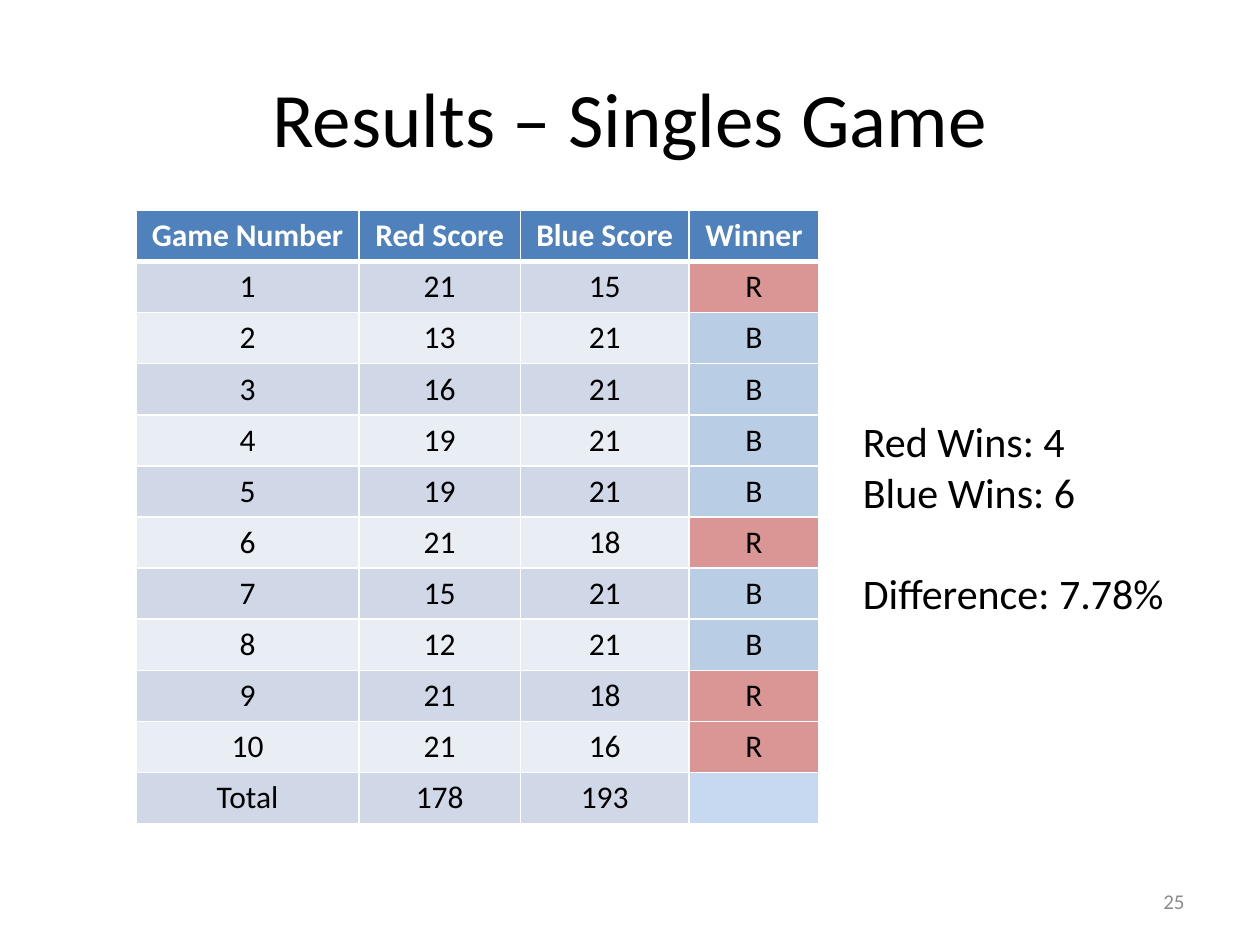
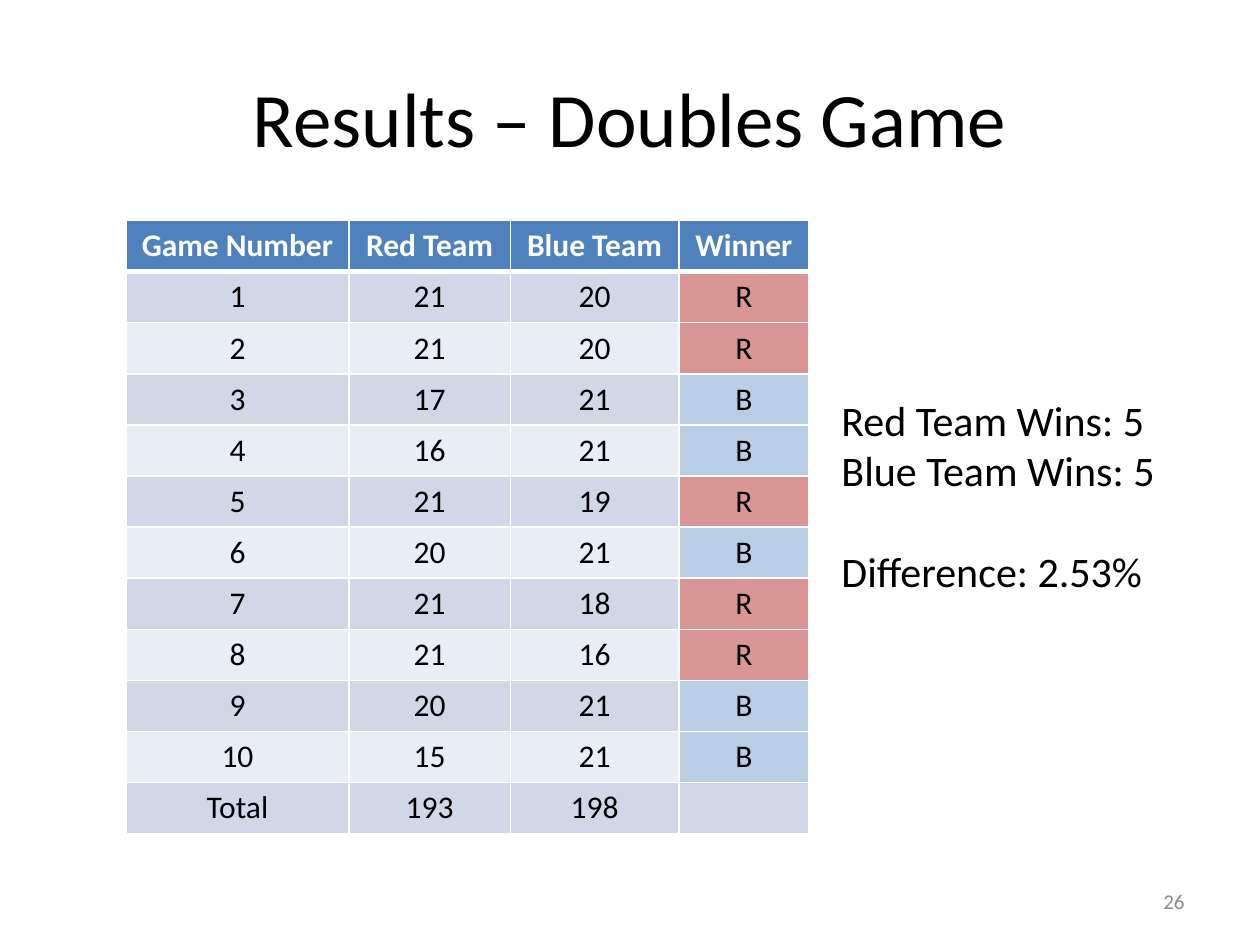
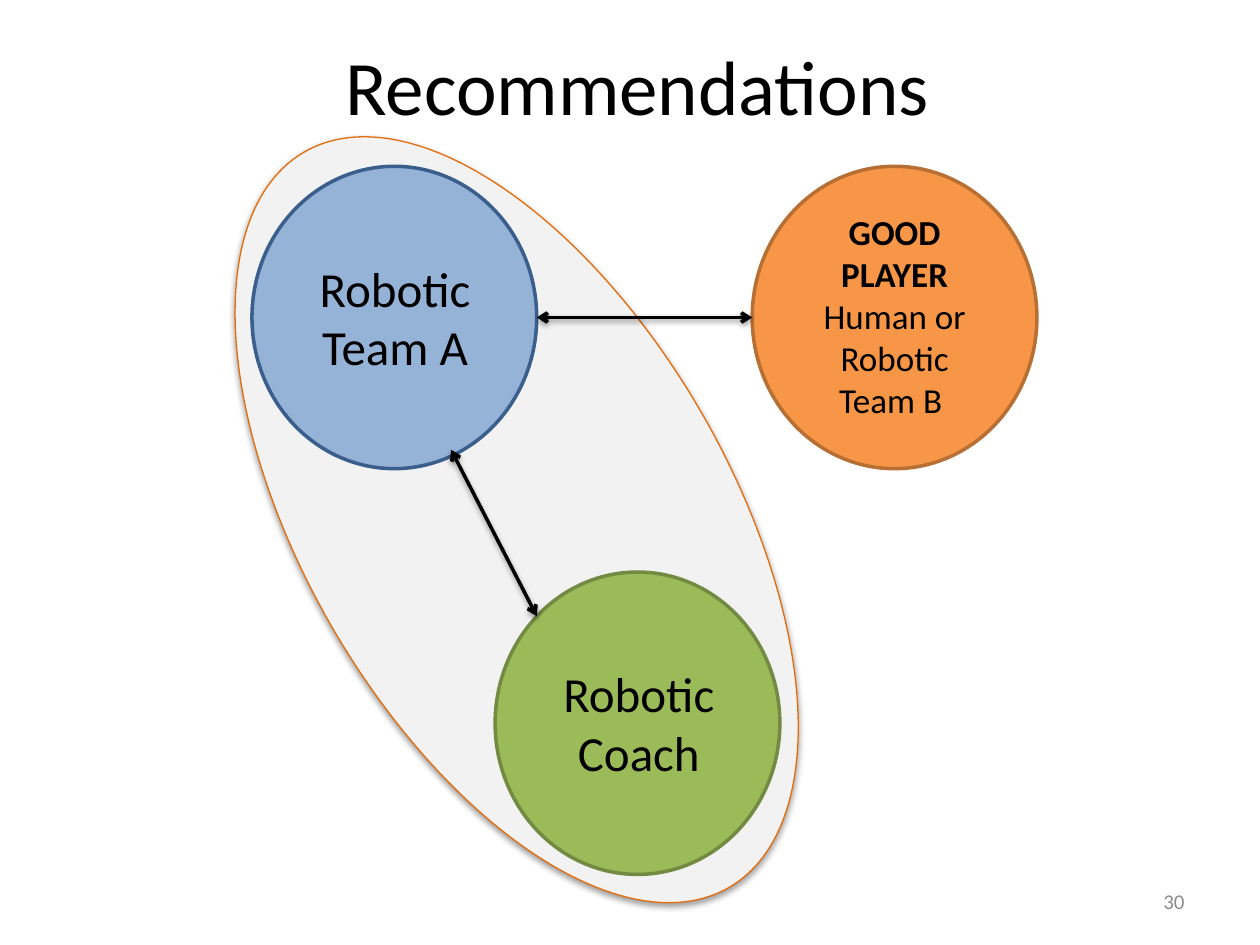
from lxml import etree
from pptx import Presentation
from pptx.dml.color import RGBColor
from pptx.enum.shapes import MSO_CONNECTOR, MSO_SHAPE
from pptx.enum.text import MSO_ANCHOR, PP_ALIGN
from pptx.oxml import parse_xml
from pptx.oxml.ns import nsdecls, qn
from pptx.util import Inches, Pt

LEFT, CENTER, RIGHT = PP_ALIGN.LEFT, PP_ALIGN.CENTER, PP_ALIGN.RIGHT
TOP, MIDDLE = MSO_ANCHOR.TOP, MSO_ANCHOR.MIDDLE
OVAL, RECTANGLE = MSO_SHAPE.OVAL, MSO_SHAPE.RECTANGLE
STRAIGHT = MSO_CONNECTOR.STRAIGHT

FONT = "Calibri"
BLACK = RGBColor(0x00, 0x00, 0x00)
WHITE = RGBColor(0xFF, 0xFF, 0xFF)
GRAY = RGBColor(0x8C, 0x8C, 0x8C)
HEADER_BLUE = RGBColor(0x4F, 0x81, 0xBD)
BAND_DARK = RGBColor(0xD0, 0xD8, 0xE8)
BAND_LIGHT = RGBColor(0xE9, 0xED, 0xF4)
RED_WIN = RGBColor(0xD9, 0x96, 0x94)
BLUE_WIN = RGBColor(0xB9, 0xCD, 0xE5)
PALE_BLUE = RGBColor(0xC6, 0xD9, 0xF1)
TEAM_BLUE = RGBColor(0x95, 0xB3, 0xD7)
TEAM_BLUE_LINE = RGBColor(0x3A, 0x5F, 0x8C)
PLAYER_ORANGE = RGBColor(0xF7, 0x96, 0x46)
PLAYER_ORANGE_LINE = RGBColor(0xB7, 0x6F, 0x34)
COACH_GREEN = RGBColor(0x9B, 0xBB, 0x59)
COACH_GREEN_LINE = RGBColor(0x73, 0x8A, 0x42)
ENCLOSURE_FILL = RGBColor(0xF2, 0xF2, 0xF2)
ENCLOSURE_LINE = RGBColor(0xE4, 0x6C, 0x0A)

COLUMN_WIDTHS = [1.77, 1.28, 1.34, 1.03]
ROW_HEIGHT = 4.87 / 12
CIRCLE_WIDTH, CIRCLE_HEIGHT = 2.26, 2.4


def add_text(shapes, box, lines, size, color=BLACK, align=LEFT, anchor=TOP):
    text_box = shapes.add_textbox(*[Inches(value) for value in box])
    frame = text_box.text_frame
    frame.word_wrap = True
    frame.vertical_anchor = anchor
    frame.text = "\n".join(lines)
    for paragraph in frame.paragraphs:
        paragraph.alignment = align
        paragraph.font.name = FONT
        paragraph.font.size = Pt(size)
        paragraph.font.color.rgb = color
    return text_box


def add_shadow(shape):
    shape._element.spPr.append(parse_xml(
        f'<a:effectLst {nsdecls("a")}>'
        '<a:outerShdw blurRad="40000" dist="20000" dir="5400000" rotWithShape="0">'
        '<a:srgbClr val="000000"><a:alpha val="38000"/></a:srgbClr>'
        '</a:outerShdw></a:effectLst>'))


presentation = Presentation()
presentation.slide_width = Inches(10)
presentation.slide_height = Inches(7.5)

slides = []
for title_text, number, title_left, title_top in [
    ("Results – Singles Game", "25", 0.5, 0.3),
    ("Results – Doubles Game", "26", 0.5, 0.3),
    ("Recommendations", "30", 0.56, 0.05),
]:
    slide = presentation.slides.add_slide(presentation.slide_layouts[5])
    footer_band = slide.shapes.add_shape(
        RECTANGLE, Inches(3.33), Inches(6.72), Inches(6.67), Inches(0.78))
    footer_band.shadow.inherit = False
    footer_band.fill.solid()
    footer_band.fill.fore_color.rgb = WHITE
    footer_band.line.color.rgb = WHITE
    footer_band.line.width = Pt(2)
    title = slide.shapes.title
    title.left, title.top = Inches(title_left), Inches(title_top)
    title.width, title.height = Inches(9), Inches(1.25)
    title.text_frame.text = title_text
    title.text_frame.vertical_anchor = MIDDLE
    paragraph = title.text_frame.paragraphs[0]
    paragraph.alignment = CENTER
    paragraph.font.name = FONT
    paragraph.font.size = Pt(44)
    paragraph.font.color.rgb = BLACK
    add_text(slide.shapes, (7.17, 6.95, 2.33, 0.4), [number], 12, GRAY, RIGHT, MIDDLE)
    slides.append(slide)

singles_slide, doubles_slide, recommendations_slide = slides

results = [
    (singles_slide, 1.08, 1.67, "Score", PALE_BLUE,
     [21, 13, 16, 19, 19, 21, 15, 12, 21, 21],
     [15, 21, 21, 21, 21, 18, 21, 21, 18, 16],
     (6.75, 3.25, 3.08, 1.72),
     ["Red Wins: 4", "Blue Wins: 6", "Difference: 7.78%"]),
    (doubles_slide, 1, 1.75, "Team", BAND_DARK,
     [21, 21, 17, 16, 21, 20, 21, 21, 20, 15],
     [20, 20, 21, 21, 19, 21, 18, 16, 21, 21],
     (6.58, 3.08, 3.42, 1.72),
     ["Red Team Wins: 5", "Blue Team Wins: 5", "Difference: 2.53%"]),
]

for slide, left, top, side, total_fill, red, blue, summary_box, summary in results:
    rows = [["Game Number", f"Red {side}", f"Blue {side}", "Winner"]]
    for game, (red_score, blue_score) in enumerate(zip(red, blue), start=1):
        rows.append([game, red_score, blue_score, "R" if red_score > blue_score else "B"])
    rows.append(["Total", sum(red), sum(blue), ""])
    winner_fills = {"R": RED_WIN, "B": BLUE_WIN, "": total_fill}

    table = slide.shapes.add_table(
        len(rows), len(COLUMN_WIDTHS), Inches(left), Inches(top),
        Inches(sum(COLUMN_WIDTHS)), Inches(ROW_HEIGHT * len(rows))).table
    for column, width in zip(table.columns, COLUMN_WIDTHS):
        column.width = Inches(width)

    for row_index, row in enumerate(rows):
        table.rows[row_index].height = Inches(ROW_HEIGHT)
        for column_index, value in enumerate(row):
            cell = table.cell(row_index, column_index)
            is_header = row_index == 0
            cell_properties = cell._tc.get_or_add_tcPr()
            for edge in ("lnL", "lnR", "lnT", "lnB"):
                under_header = (row_index, edge) in [(0, "lnB"), (1, "lnT")]
                cell_properties.append(parse_xml(
                    f'<a:{edge} {nsdecls("a")} w="{Pt(3 if under_header else 1)}">'
                    f'<a:solidFill><a:srgbClr val="{WHITE}"/></a:solidFill></a:{edge}>'))
            if is_header:
                fill_color = HEADER_BLUE
            elif column_index == 3:
                fill_color = winner_fills[value]
            else:
                fill_color = BAND_DARK if row_index % 2 else BAND_LIGHT
            cell.fill.solid()
            cell.fill.fore_color.rgb = fill_color
            cell.text = str(value)
            paragraph = cell.text_frame.paragraphs[0]
            paragraph.alignment = CENTER
            paragraph.font.name = FONT
            paragraph.font.size = Pt(18)
            paragraph.font.bold = is_header
            paragraph.font.color.rgb = WHITE if is_header else BLACK

    summary_text = add_text(slide.shapes, summary_box, summary, 24)
    summary_text.text_frame.paragraphs[-1].space_before = Pt(29)

shapes = recommendations_slide.shapes
enclosure = shapes.add_shape(OVAL, Inches(0.73), Inches(2.43), Inches(6.74), Inches(3.39))
enclosure.rotation = 60
enclosure.fill.solid()
enclosure.fill.fore_color.rgb = ENCLOSURE_FILL
enclosure.line.color.rgb = ENCLOSURE_LINE
enclosure.line.width = Pt(0.75)
add_shadow(enclosure)

for left, top, fill_color, line_color, label_box, lines, size in [
    (2, 1.32, TEAM_BLUE, TEAM_BLUE_LINE, (2.21, 2, 1.85, 1.04), ["Robotic Team A"], 28),
    (5.97, 1.32, PLAYER_ORANGE, PLAYER_ORANGE_LINE, (6.24, 1.62, 1.72, 1.78),
     ["GOOD PLAYER", "Human or Robotic Team B "], 20),
    (3.93, 4.54, COACH_GREEN, COACH_GREEN_LINE, (4.21, 5.22, 1.72, 1.04), ["Robotic Coach"], 28),
]:
    group = shapes.add_group_shape()
    circle = group.shapes.add_shape(
        OVAL, Inches(left), Inches(top), Inches(CIRCLE_WIDTH), Inches(CIRCLE_HEIGHT))
    circle.shadow.inherit = False
    circle.fill.solid()
    circle.fill.fore_color.rgb = fill_color
    circle.line.color.rgb = line_color
    circle.line.width = Pt(2)
    label = add_text(group.shapes, label_box, lines, size, align=CENTER)
    label.text_frame.paragraphs[0].font.bold = len(lines) > 1
    if fill_color == TEAM_BLUE:
        label.fill.solid()
        label.fill.fore_color.rgb = TEAM_BLUE

for start_x, start_y, end_x, end_y in [(3.58, 3.57, 4.26, 4.89), (4.26, 2.52, 5.97, 2.52)]:
    arrow = shapes.add_connector(
        STRAIGHT, Inches(start_x), Inches(start_y), Inches(end_x), Inches(end_y))
    arrow.line.color.rgb = BLACK
    arrow.line.width = Pt(2)
    for end in ("a:headEnd", "a:tailEnd"):
        etree.SubElement(arrow.line._get_or_add_ln(), qn(end), type="arrow")
    add_shadow(arrow)

presentation.save("out.pptx")
